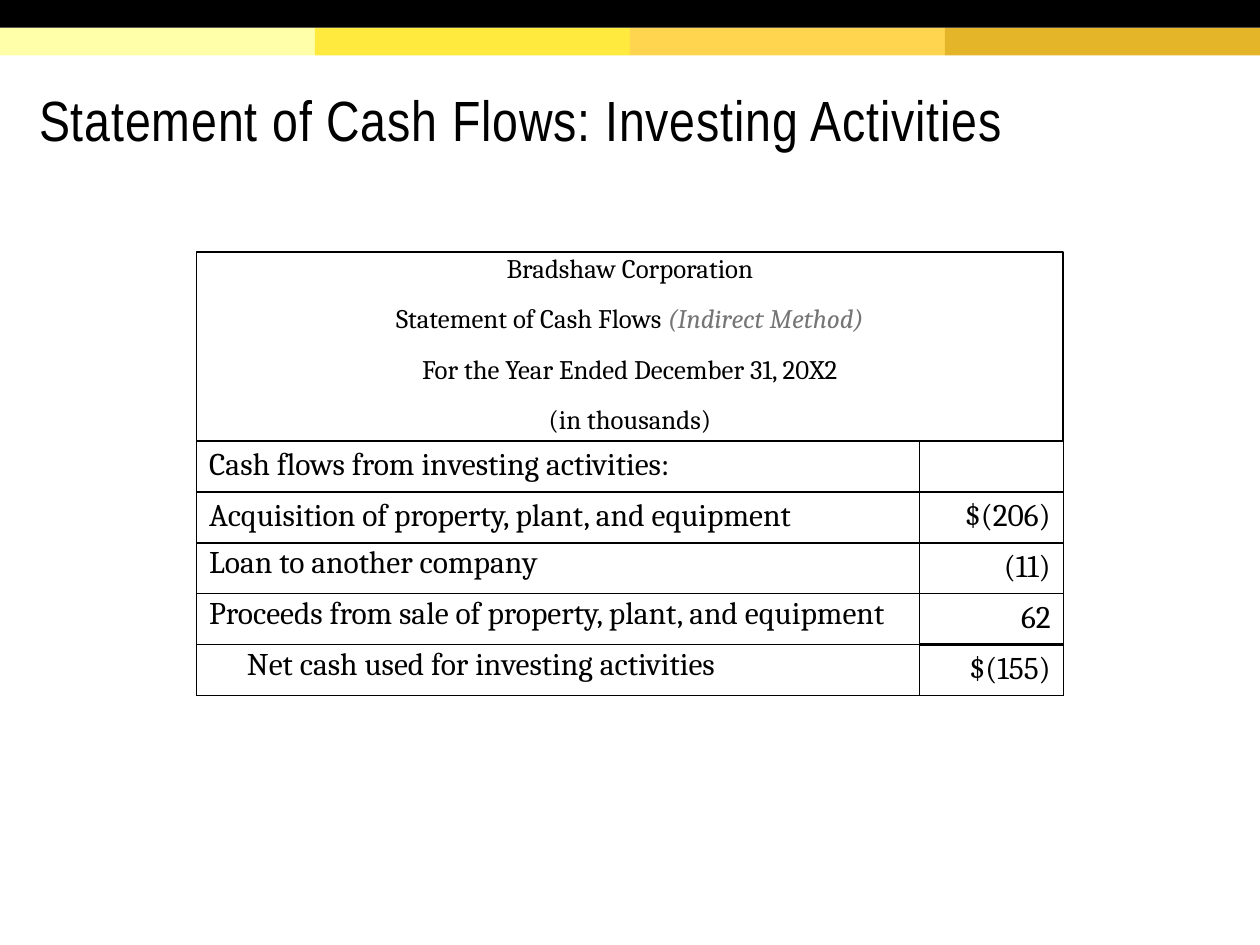
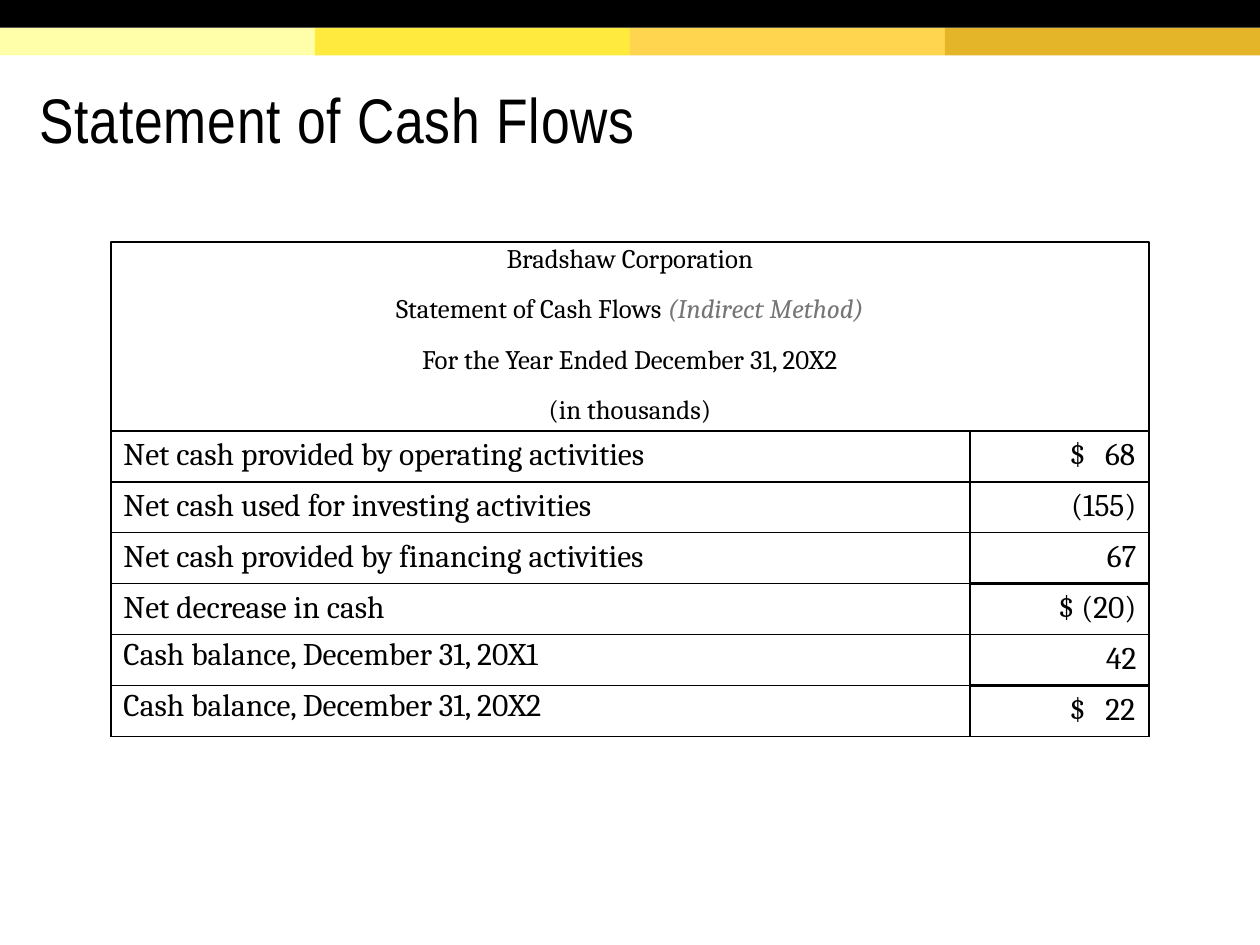
from dataclasses import dataclass

from lxml import etree
from pptx import Presentation
from pptx.dml.color import RGBColor
from pptx.enum.shapes import MSO_SHAPE
from pptx.enum.text import MSO_ANCHOR, MSO_AUTO_SIZE, PP_ALIGN
from pptx.oxml.ns import qn
from pptx.util import Inches, Pt

RECT = MSO_SHAPE.RECTANGLE
TOP, MIDDLE = MSO_ANCHOR.TOP, MSO_ANCHOR.MIDDLE
NO_FIT = MSO_AUTO_SIZE.NONE
LEFT, CENTER, RIGHT = PP_ALIGN.LEFT, PP_ALIGN.CENTER, PP_ALIGN.RIGHT
TITLE_ONLY = 5
GRID_COLS, GRID_ROWS = 100, 75


@dataclass(frozen=True)
class Theme:
    ink: str = "000000"
    muted: str = "757575"
    bands: tuple = ("FFFFAA", "FFEA3D", "FFD54F", "E4B429")
    title_font: str = "Arial Narrow"
    body_font: str = "Cambria"
    heading_size: float = 15.3
    row_size: float = 18
    rule: float = 1
    heavy_rule: float = 2.25
    tight: float = 0.85


@dataclass(frozen=True)
class Box:
    """A place on the slide, in grid columns and rows."""
    x: float
    y: float
    w: float
    h: float

    def emu(self):
        return [grid(v) for v in (self.x, self.y, self.w, self.h)]


@dataclass(frozen=True)
class Row:
    label: str
    amount: str = ""
    tight: bool = False
    indent: float = 0
    subtotal_rule: bool = False


THEME = Theme()
SLIDE_W = Inches(10)
TITLE_BOX = Box(2.1, 4.7, 94.9, 9.8)
BAND_H = 2.2
HEADING_H = 15
ROW_H = 4.04
CELL_INSET = 1


def grid(units):
    return int(units * SLIDE_W / GRID_COLS)


def set_font(font, name, size):
    font.name, font.size = name, Pt(size)
    font.color.rgb = RGBColor.from_string(THEME.ink)


def add_band(slide, box, color):
    sp = slide.shapes.add_shape(RECT, *box.emu())
    sp.shadow.inherit = False
    sp.fill.solid()
    sp.fill.fore_color.rgb = RGBColor.from_string(color)
    sp.line.fill.background()


def add_bands(slide):
    step = GRID_COLS / len(THEME.bands)
    for i, color in enumerate(THEME.bands):
        add_band(slide, Box(i * step, BAND_H, step, BAND_H), color)
    add_band(slide, Box(0, 0, GRID_COLS, BAND_H), THEME.ink)


def set_title(slide, text, size):
    sp = slide.shapes.title
    sp.left, sp.top, sp.width, sp.height = TITLE_BOX.emu()
    tf = sp.text_frame
    tf.auto_size, tf.word_wrap, tf.vertical_anchor = NO_FIT, True, MIDDLE
    tf.margin_left = tf.margin_top = tf.margin_right = Inches(0.1)
    tf.margin_bottom = Inches(0.05)
    p = tf.paragraphs[0]
    p.alignment, p.line_spacing = LEFT, THEME.tight
    r = p.add_run()
    r.text = text
    set_font(p.font, THEME.title_font, size)
    r._r.get_or_add_rPr().set("spc", "50")


def add_heading(slide, box):
    """Framed company name, statement name, period and unit."""
    sp = slide.shapes.add_shape(RECT, *box.emu())
    sp.shadow.inherit = False
    sp.fill.background()
    sp.line.color.rgb = RGBColor.from_string(THEME.ink)
    sp.line.width = Pt(THEME.rule)
    tf = sp.text_frame
    tf.word_wrap, tf.vertical_anchor = True, TOP
    lines = (("Bradshaw Corporation",),
             ("Statement of Cash Flows ", "(Indirect Method)"),
             ("For the Year Ended December 31, 20X2",),
             ("(in thousands)",))
    for i, (text, *aside) in enumerate(lines):
        p = tf.add_paragraph() if i else tf.paragraphs[0]
        p.alignment, p.line_spacing = CENTER, 0.8
        p.space_before, p.space_after = Pt(6 if i else 0), Pt(8)
        set_font(p.font, THEME.body_font, THEME.heading_size)
        p.add_run().text = text
        for note in aside:
            r = p.add_run()
            r.text = note
            r.font.italic = True
            r.font.color.rgb = RGBColor.from_string(THEME.muted)


def set_borders(cell, top, bottom):
    tcPr = cell._tc.get_or_add_tcPr()
    widths = {"L": THEME.rule, "R": THEME.rule, "T": top, "B": bottom}
    for i, (side, width) in enumerate(widths.items()):
        ln = etree.Element(qn(f"a:ln{side}"), w=str(Pt(width)))
        fill = etree.SubElement(ln, qn("a:solidFill"))
        etree.SubElement(fill, qn("a:srgbClr"), val=THEME.ink)
        tcPr.insert(i, ln)


def add_tabs(p, stops):
    tabs = etree.SubElement(p._p.get_or_add_pPr(), qn("a:tabLst"))
    for position, align in stops:
        etree.SubElement(tabs, qn("a:tab"), pos=str(grid(position)), algn=align)


def fill_cell(cell, text, alignment):
    cell.fill.background()
    cell.vertical_anchor = TOP
    p = cell.text_frame.paragraphs[0]
    p.alignment = alignment
    if text:
        p.add_run().text = text
    return p


def add_rows(slide, box, rows, amount_w):
    table = slide.shapes.add_table(len(rows), 2, *box.emu()).table
    table.first_row = table.horz_banding = False
    table.columns[0].width = grid(box.w - amount_w)
    table.columns[1].width = grid(amount_w)
    number_end = amount_w - 2 * CELL_INSET - 0.1
    top = THEME.rule
    for i, row in enumerate(rows):
        table.rows[i].height = grid(box.h / len(rows))
        label, amount = table.cell(i, 0), table.cell(i, 1)
        p = fill_cell(label, row.label, LEFT)
        if row.tight:
            p.line_spacing = THEME.tight
        if row.indent:
            p._p.get_or_add_pPr().set("marL", str(grid(row.indent)))
        set_font(p.font, THEME.body_font, THEME.row_size)

        tabbed = "\t" in row.amount
        p = fill_cell(amount, row.amount, LEFT if tabbed else RIGHT)
        if tabbed:
            add_tabs(p, ((number_end - 5.2, "l"), (number_end, "r")))
        set_font(p.font, THEME.body_font, THEME.row_size)

        bottom = THEME.heavy_rule if row.subtotal_rule else THEME.rule
        set_borders(label, THEME.rule, THEME.rule)
        set_borders(amount, top, bottom)
        top = bottom


def add_statement_slide(prs, title, title_size, x, y, amount_w, rows):
    """A statement centred across the slide, with its left edge at x."""
    slide = prs.slides.add_slide(prs.slide_layouts[TITLE_ONLY])
    add_bands(slide)
    set_title(slide, title, title_size)
    w = GRID_COLS - 2 * x
    add_heading(slide, Box(x, y, w, HEADING_H))
    add_rows(slide, Box(x, y + HEADING_H, w, ROW_H * len(rows)), rows, amount_w)


def main():
    prs = Presentation()
    prs.slide_width = SLIDE_W
    prs.slide_height = grid(GRID_ROWS)
    add_statement_slide(
        prs, "Statement of Cash Flows: Investing Activities", 32.4,
        x=15.6, y=20, amount_w=11.4, rows=(
            Row("Cash flows from investing activities:"),
            Row("Acquisition of property, plant, and equipment", "$(206)"),
            Row("Loan to another company", "(11)", tight=True),
            Row("Proceeds from sale of property, plant, and equipment", "62",
                tight=True, subtotal_rule=True),
            Row("Net cash used for investing activities", "$(155)",
                tight=True, indent=3)))
    add_statement_slide(
        prs, "Statement of Cash Flows", 36,
        x=8.8, y=19.2, amount_w=14.2, rows=(
            Row("Net cash provided by operating activities", "\t$\t68"),
            Row("Net cash used for investing activities", "(155)"),
            Row("Net cash provided by financing activities", "67",
                subtotal_rule=True),
            Row("Net decrease in cash", "$ (20)"),
            Row("Cash balance, December 31, 20X1", "42", tight=True,
                subtotal_rule=True),
            Row("Cash balance, December 31, 20X2", "\t$\t22", tight=True)))
    prs.save("out.pptx")


if __name__ == "__main__":
    main()
